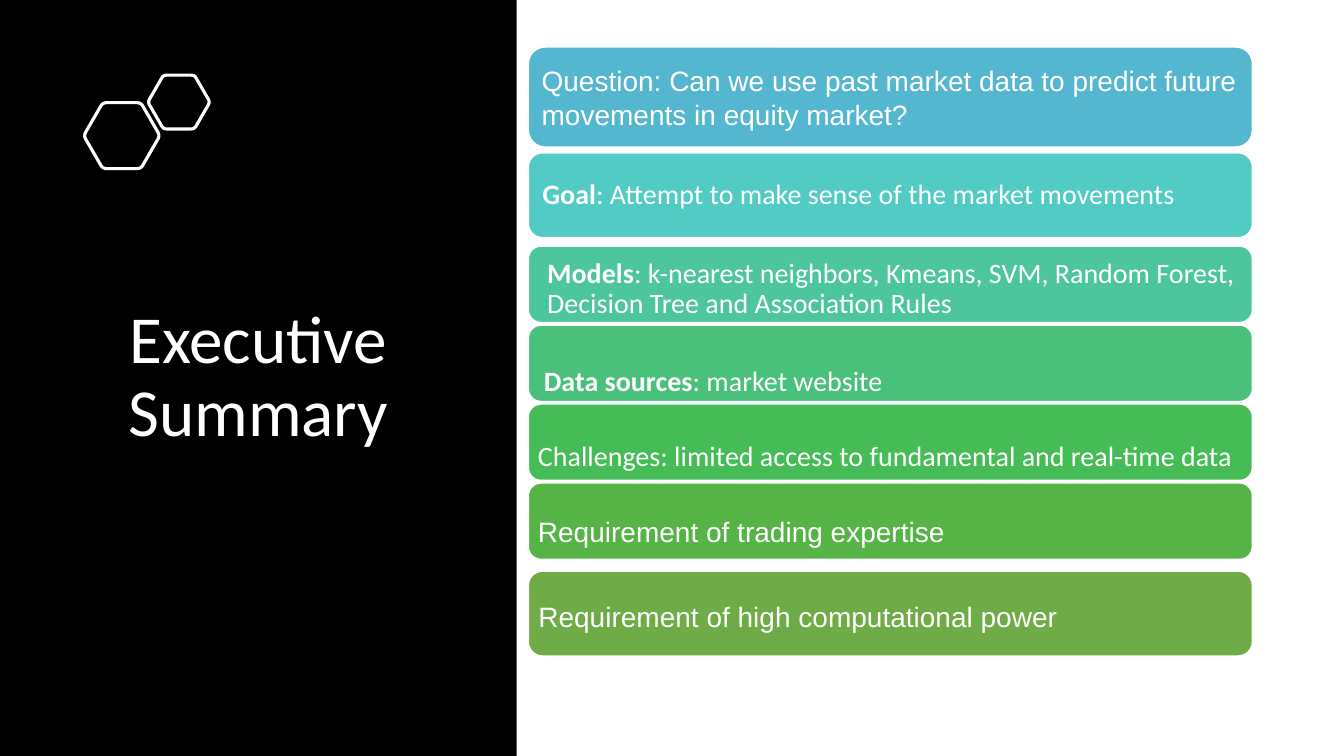
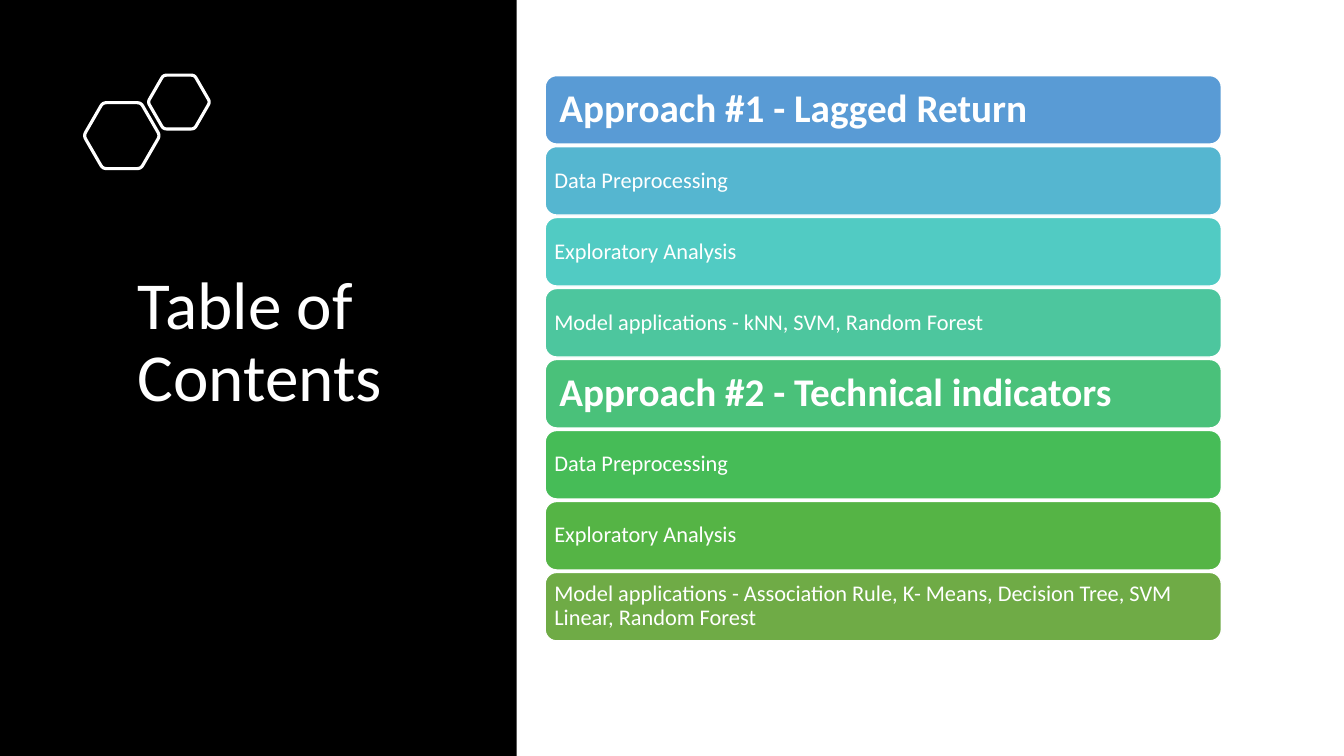
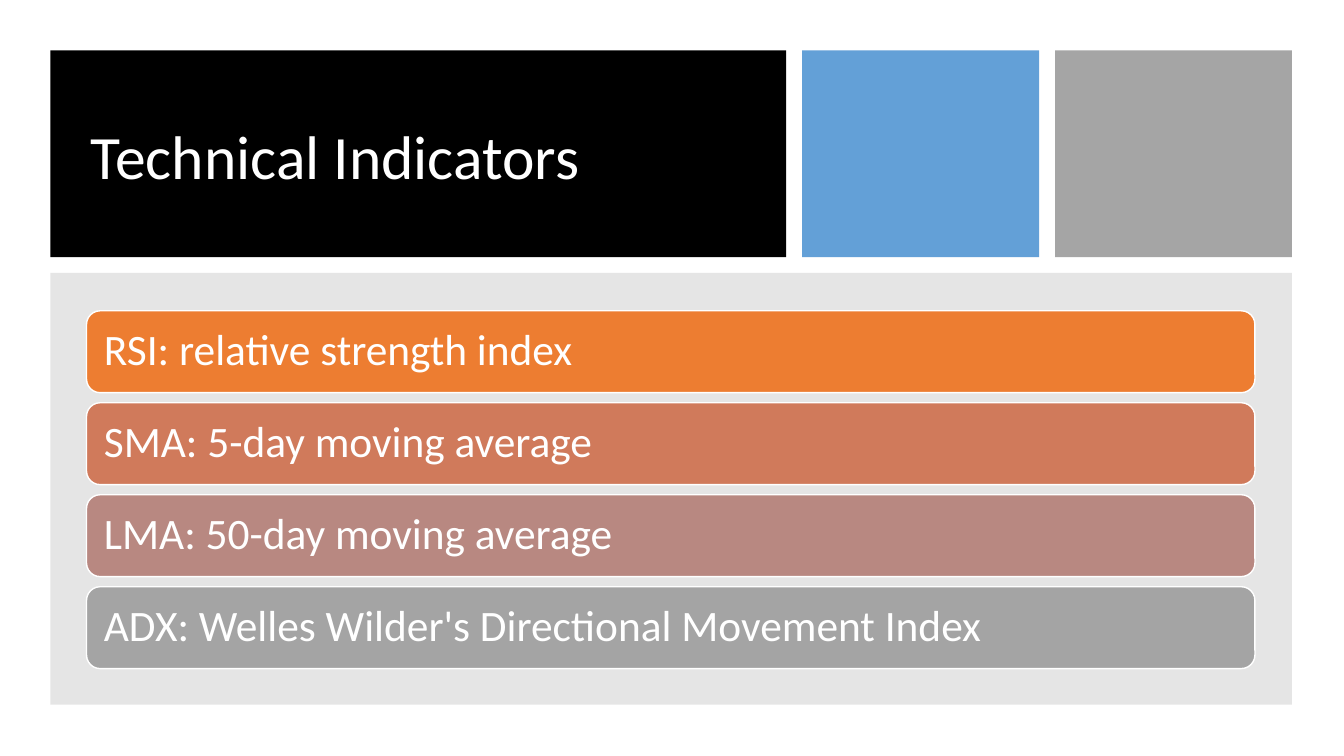
from math import cos, pi, sin, sqrt

from lxml.etree import SubElement
from pptx import Presentation
from pptx.dml.color import RGBColor
from pptx.enum.shapes import MSO_SHAPE
from pptx.enum.text import MSO_ANCHOR, MSO_AUTO_SIZE, PP_ALIGN
from pptx.oxml.ns import qn
from pptx.util import Inches, Pt

COLS, ROWS = 160, 90
UNIT = Inches(1) / 12
PANEL = (0, 0, 61.5, ROWS)
COLORS = {
    "white": "FFFFFF", "black": "000000",
    "blue": "599BD5", "sky": "55B6D0", "aqua": "51CBC3", "teal": "4DC69E",
    "jade": "4AC17A", "green": "46BC57", "leaf": "55B445", "olive": "6FAB46",
    "orange": "ED7D31", "clay": "D07A5B", "rose": "B88881", "stone": "A4A4A4",
    "tile_blue": "5B9BD5", "tile_grey": "A5A5A5", "board": "7F7F7F",
}
SPECTRUM = ["blue", "sky", "aqua", "teal", "jade", "green", "leaf", "olive"]
WARM = ["orange", "clay", "rose", "stone"]


def grid(*units):
    return [round(u * UNIT) for u in units]


def rgb(name):
    return RGBColor.from_string(COLORS[name])


def paint(sp, fill, line=None, alpha=None):
    sp.fill.solid()
    sp.fill.fore_color.rgb = rgb(fill)
    if alpha:
        color = sp.fill._xPr.find(qn("a:solidFill"))[0]
        SubElement(color, qn("a:alpha")).set("val", str(alpha * 1000))
    if line:
        sp.line.color.rgb = rgb(line)
        sp.line.width = Pt(1)
    else:
        sp.line.fill.background()


def write(tf, text, size=20, font="Calibri", bold=False, lead="", spacing=0.9,
          align=PP_ALIGN.LEFT, anchor=MSO_ANCHOR.MIDDLE, left=0.7, top=0,
          right=0.7, bottom=0):
    tf.word_wrap = True
    tf.auto_size = MSO_AUTO_SIZE.NONE
    tf.vertical_anchor = anchor
    tf.margin_left, tf.margin_top, tf.margin_right, tf.margin_bottom = grid(
        left, top, right, bottom)
    p = tf.paragraphs[0]
    p.alignment = align
    p.line_spacing = spacing
    for part, heavy in ((lead, True), (text, bold)):
        if part:
            r = p.add_run()
            r.text = part
            r.font.name = font
            r.font.size = Pt(size)
            r.font.bold = heavy
            r.font.color.rgb = rgb("white")


def block(s, box, fill, kind=MSO_SHAPE.RECTANGLE, **look):
    sp = s.shapes.add_shape(kind, *grid(*box))
    sp.shadow.inherit = False
    paint(sp, fill, **look)
    return sp


def title(s, box, text, **form):
    sp = s.shapes.title
    sp.left, sp.top, sp.width, sp.height = grid(*box)
    paint(sp, "black")
    write(sp.text_frame, text, **form)


def hexagon(s, cx, cy, radius, cut=0.1, steps=4):
    corners = [(cx + radius * cos(k * pi / 3), cy + radius * sin(k * pi / 3))
               for k in range(6)]
    points = []
    for k, (x, y) in enumerate(corners):
        (ax, ay), (bx, by) = [
            (x + cut * (nx - x), y + cut * (ny - y))
            for nx, ny in (corners[k - 1], corners[(k + 1) % 6])]
        for i in range(steps + 1):
            t = i / steps
            a, m, b = (1 - t) ** 2, 2 * t * (1 - t), t ** 2
            points.append(grid(a * ax + m * x + b * bx, a * ay + m * y + b * by))
    builder = s.shapes.build_freeform(*points[0])
    builder.add_line_segments(points[1:], close=True)
    sp = builder.convert_to_shape()
    sp.shadow.inherit = False
    sp.fill.background()
    sp.line.color.rgb = rgb("white")
    sp.line.width = Pt(2.25)


def side_panel(s, box, text, **form):
    title(s, box, text, size=48, **form)
    x, y = box[:2]
    for cx, cy, height in ((14.5, 16.15, 7.85), (21.3, 12.15, 6.4)):
        hexagon(s, x + cx, y + cy, height / sqrt(3))


def even_rows(count, height, gap):
    each = (height - gap * (count - 1)) / count
    return [(k * (each + gap), each) for k in range(count)]


def bars(s, box, rows, fills, items):
    x, y, w = box[:3]
    for (top, height), fill, item in zip(rows, fills, items):
        sp = block(s, (x, y + top, w, height), fill,
                   kind=MSO_SHAPE.ROUNDED_RECTANGLE, line="white")
        write(sp.text_frame, **item)


def summary_slide(s):
    side_panel(s, PANEL, "Executive Summary", align=PP_ALIGN.CENTER, left=1.2, right=1.2)
    rows = [(0, 11.9), (12.6, 10.1), (23.7, 9.1), (33.1, 9.1),
            (42.5, 9.1), (51.9, 9.1), (62.4, 10.1)]
    bars(s, (62.9, 5.6, 86.2, 72.5), rows, SPECTRUM[1:], [
        dict(text="Question: Can we use past market data to predict future "
                  "movements in equity market?", font="Arial", spacing=1, left=1),
        dict(lead="Goal", text=": Attempt to make sense of the market movements", left=1.2),
        dict(lead="Models", text=": k-nearest neighbors, Kmeans, SVM, Random Forest, "
                                 "Decision Tree and Association Rules", left=1.8, top=1.3),
        dict(lead="Data sources", text=": market website", left=1.4, top=4.6),
        dict(text="Challenges: limited access to fundamental and real-time data", top=3.6),
        dict(text="Requirement of trading expertise", font="Arial", top=2.9),
        dict(text="Requirement of high computational power", font="Arial", top=1.2),
    ])


def contents_slide(s):
    side_panel(s, PANEL, "Table of Contents", anchor=MSO_ANCHOR.TOP,
               left=16.4, top=32.3, right=5.6)
    approaches = {
        "Approach #1 - Lagged Return": "kNN, SVM, Random Forest",
        "Approach #2 - Technical indicators":
            "Association Rule, K- Means, Decision Tree, SVM Linear, Random Forest",
    }
    items = []
    for heading, models in approaches.items():
        items.append(dict(text=heading, size=28, bold=True, left=1.3))
        steps = ["Data Preprocessing", "Exploratory Analysis",
                 f"Model applications - {models}"]
        items += [dict(text=step, size=16) for step in steps]
    box = (64.9, 9, 80.5, 67.3)
    bars(s, box, even_rows(len(items), box[3], 0.3), SPECTRUM, items)


def indicators_slide(s):
    title(s, (6, 6, 87.6, 24.6), "Technical Indicators", size=44, left=4.8, top=1.3)
    block(s, (95.5, 6, 28.2, 24.6), "tile_blue", alpha=95)
    block(s, (125.6, 6, 28.2, 24.6), "tile_grey")
    block(s, (6, 32.5, 147.8, 51.4), "board", alpha=20)
    texts = ["RSI: relative strength index", "SMA: 5-day moving average",
             "LMA: 50-day moving average",
             "ADX: Welles Wilder's Directional Movement Index"]
    box = (10.3, 37, 139.1, 42.6)
    bars(s, box, even_rows(len(texts), box[3], 1.2), WARM,
         [dict(text=text, size=31, left=1.6) for text in texts])


def main():
    prs = Presentation()
    prs.slide_width, prs.slide_height = grid(COLS, ROWS)
    for build in (summary_slide, contents_slide, indicators_slide):
        build(prs.slides.add_slide(prs.slide_layouts[5]))
    prs.save("out.pptx")


if __name__ == "__main__":
    main()
